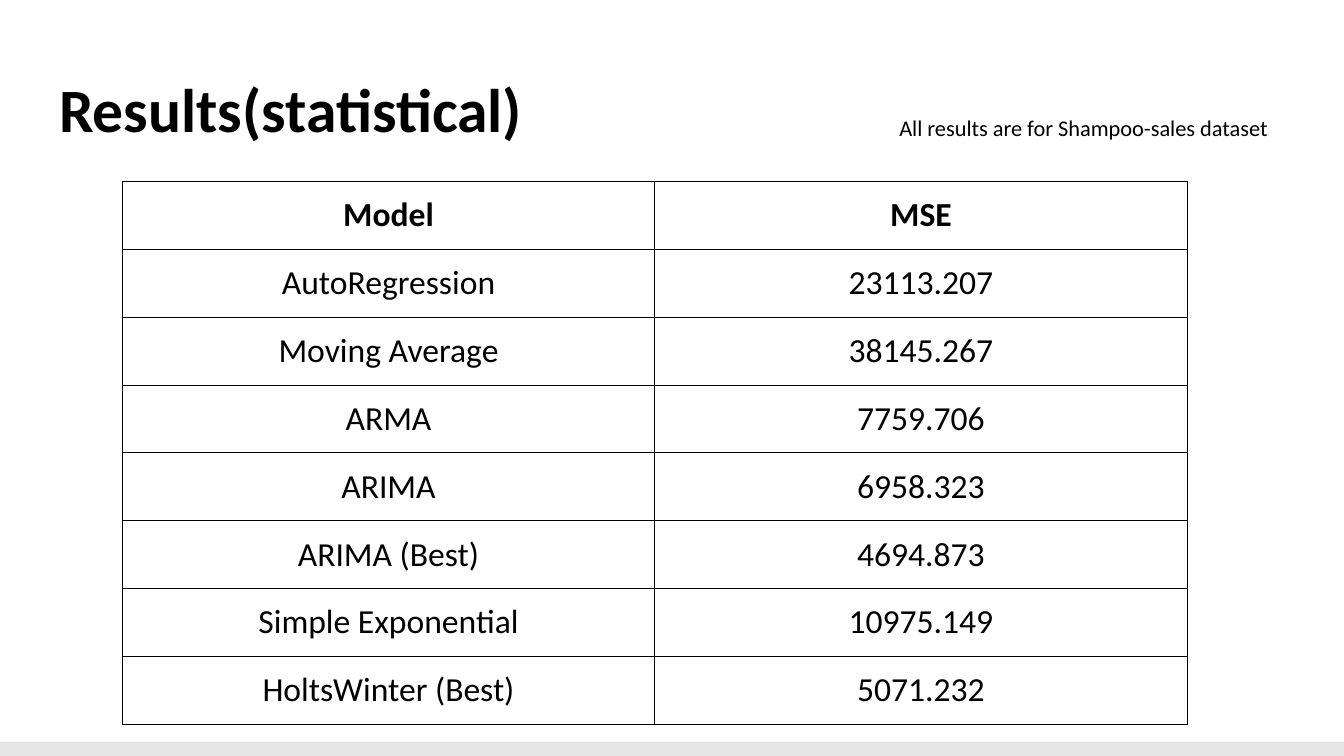
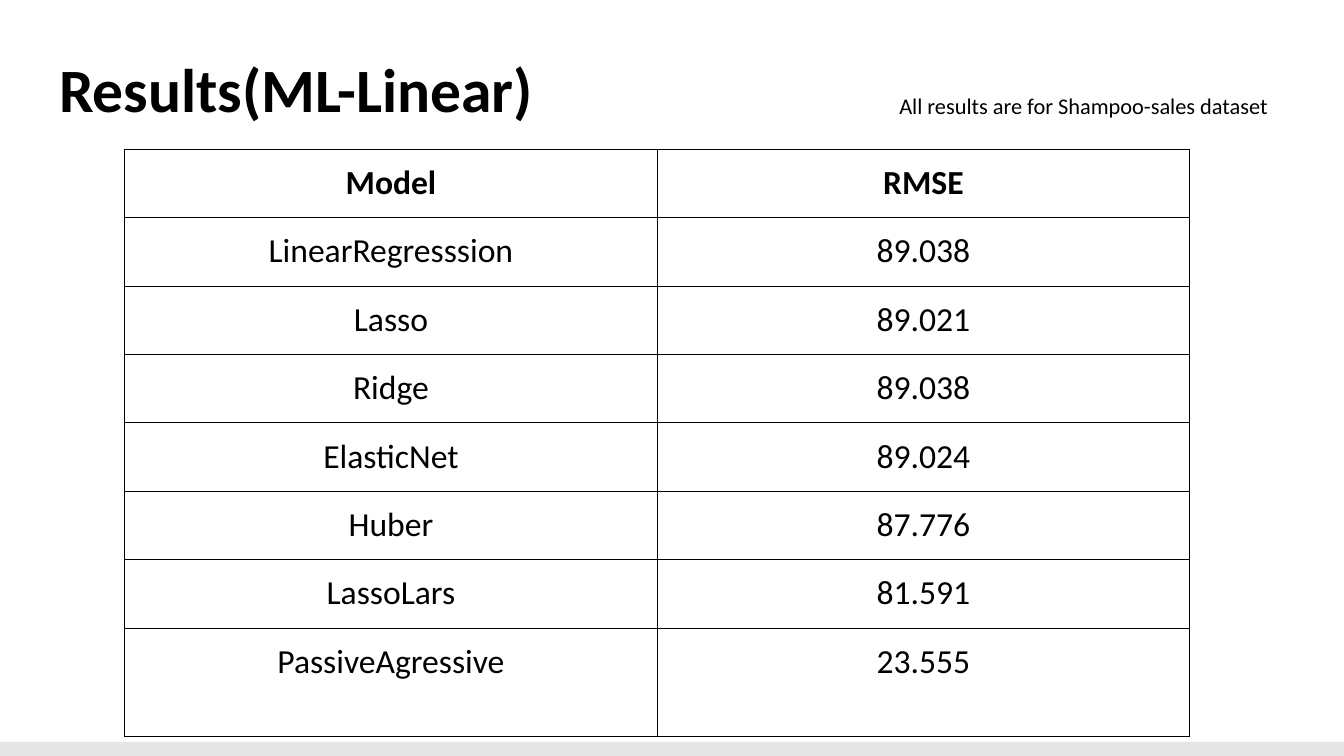
from lxml.etree import SubElement
from pptx import Presentation
from pptx.dml.color import RGBColor
from pptx.enum.shapes import MSO_SHAPE
from pptx.enum.text import MSO_ANCHOR, MSO_AUTO_SIZE, PP_ALIGN
from pptx.oxml.ns import qn
from pptx.util import Inches, Pt

WIDTH, HEIGHT = Inches(13.33), Inches(7.5)
BLACK = RGBColor(0x00, 0x00, 0x00)
BAND_GREY = RGBColor(0xE7, 0xE6, 0xE6)
FONT = "Calibri"
INSET = Pt(9.6)
RULE = Pt(0.75)
COLUMN_SHARE = 39.62
NOTE = "All results are for Shampoo-sales dataset"

STATISTICAL = [
    ("Model", "MSE"),
    ("AutoRegression", "23113.207"),
    ("Moving Average", "38145.267"),
    ("ARMA", "7759.706"),
    ("ARIMA", "6958.323"),
    ("ARIMA (Best)", "4694.873"),
    ("Simple Exponential", "10975.149"),
    ("HoltsWinter (Best)", "5071.232"),
]
LINEAR = [
    ("Model", "RMSE"),
    ("LinearRegresssion", "89.038"),
    ("Lasso", "89.021"),
    ("Ridge", "89.038"),
    ("ElasticNet", "89.024"),
    ("Huber", "87.776"),
    ("LassoLars", "81.591"),
    ("PassiveAgressive", "23.555"),
]


def across(percent):
    return round(WIDTH * percent / 100)


def down(percent):
    return round(HEIGHT * percent / 100)


def style_text(paragraph, size, bold=False):
    for run in paragraph.runs:
        run.font.name = FONT
        run.font.size = Pt(size)
        run.font.bold = bold
        run.font.color.rgb = BLACK


def set_insets(holder):
    holder.margin_left = holder.margin_right = INSET
    holder.margin_top = holder.margin_bottom = INSET


def add_band(slide):
    band = slide.shapes.add_shape(
        MSO_SHAPE.RECTANGLE, 0, down(98.13), WIDTH, down(1.87))
    band.shadow.inherit = False
    band.fill.solid()
    band.fill.fore_color.rgb = BAND_GREY
    band.line.fill.background()


def set_title(slide, text, top):
    title = slide.shapes.title
    title.left, title.top = across(3.4), down(top)
    title.width, title.height = across(93.17), down(11.2)
    frame = title.text_frame
    frame.text = text
    frame.auto_size = MSO_AUTO_SIZE.NONE
    frame.vertical_anchor = MSO_ANCHOR.TOP
    set_insets(frame)
    heading = frame.paragraphs[0]
    heading.alignment = PP_ALIGN.LEFT
    heading.line_spacing = 0.9
    style_text(heading, 44, bold=True)


def add_note(slide, top):
    note = slide.shapes.add_textbox(
        across(66.17), down(top), across(30), down(4.93))
    frame = note.text_frame
    frame.word_wrap = True
    frame.text = NOTE
    style_text(frame.paragraphs[0], 16)


def add_borders(cell):
    properties = cell._tc.get_or_add_tcPr()
    for position, side in enumerate(("a:lnL", "a:lnR", "a:lnT", "a:lnB")):
        border = SubElement(properties, qn(side), w=str(RULE))
        ink = SubElement(border, qn("a:solidFill"))
        SubElement(ink, qn("a:srgbClr"), val=str(BLACK))
        properties.insert(position, border)


def fill_cell(cell, text, bold):
    cell.text = text
    cell.fill.background()
    cell.vertical_anchor = MSO_ANCHOR.TOP
    set_insets(cell)
    entry = cell.text_frame.paragraphs[0]
    entry.alignment = PP_ALIGN.CENTER
    style_text(entry, 24, bold)
    add_borders(cell)


def add_results(slide, results, left, top, row_share, last_share):
    shares = [row_share] * (len(results) - 1) + [last_share]
    table = slide.shapes.add_table(
        len(results), 2, across(left), down(top),
        across(2 * COLUMN_SHARE), down(sum(shares))).table
    table.first_row = table.horz_banding = False
    for column in table.columns:
        column.width = across(COLUMN_SHARE)
    for index, (row, share, result) in enumerate(zip(table.rows, shares, results)):
        row.height = down(share)
        for cell, text in zip(row.cells, result):
            fill_cell(cell, text, bold=index == 0)


def add_results_slide(deck, title, title_top, note_top, results, **grid):
    slide = deck.slides.add_slide(deck.slide_layouts[5])
    add_band(slide)
    set_title(slide, title, title_top)
    add_results(slide, results, **grid)
    add_note(slide, note_top)


def main():
    deck = Presentation()
    deck.slide_width, deck.slide_height = WIDTH, HEIGHT
    add_results_slide(deck, "Results(statistical)", 8.67, 14.4, STATISTICAL,
                      left=9.1, top=24, row_share=8.89, last_share=8.89)
    add_results_slide(deck, "Results(ML-Linear)", 6, 11.47, LINEAR,
                      left=9.28, top=19.73, row_share=9.05, last_share=14.27)
    deck.save("out.pptx")


if __name__ == "__main__":
    main()
